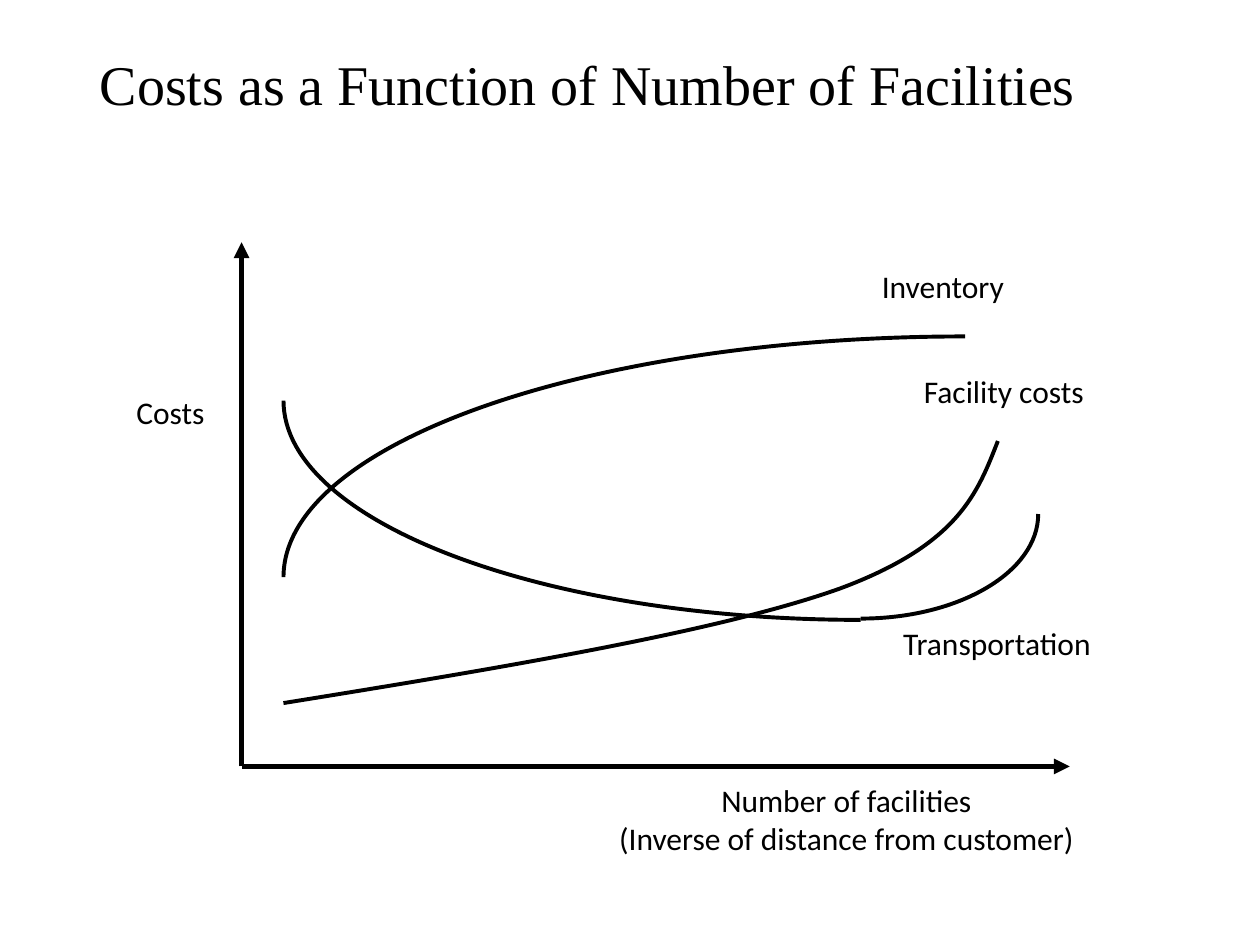
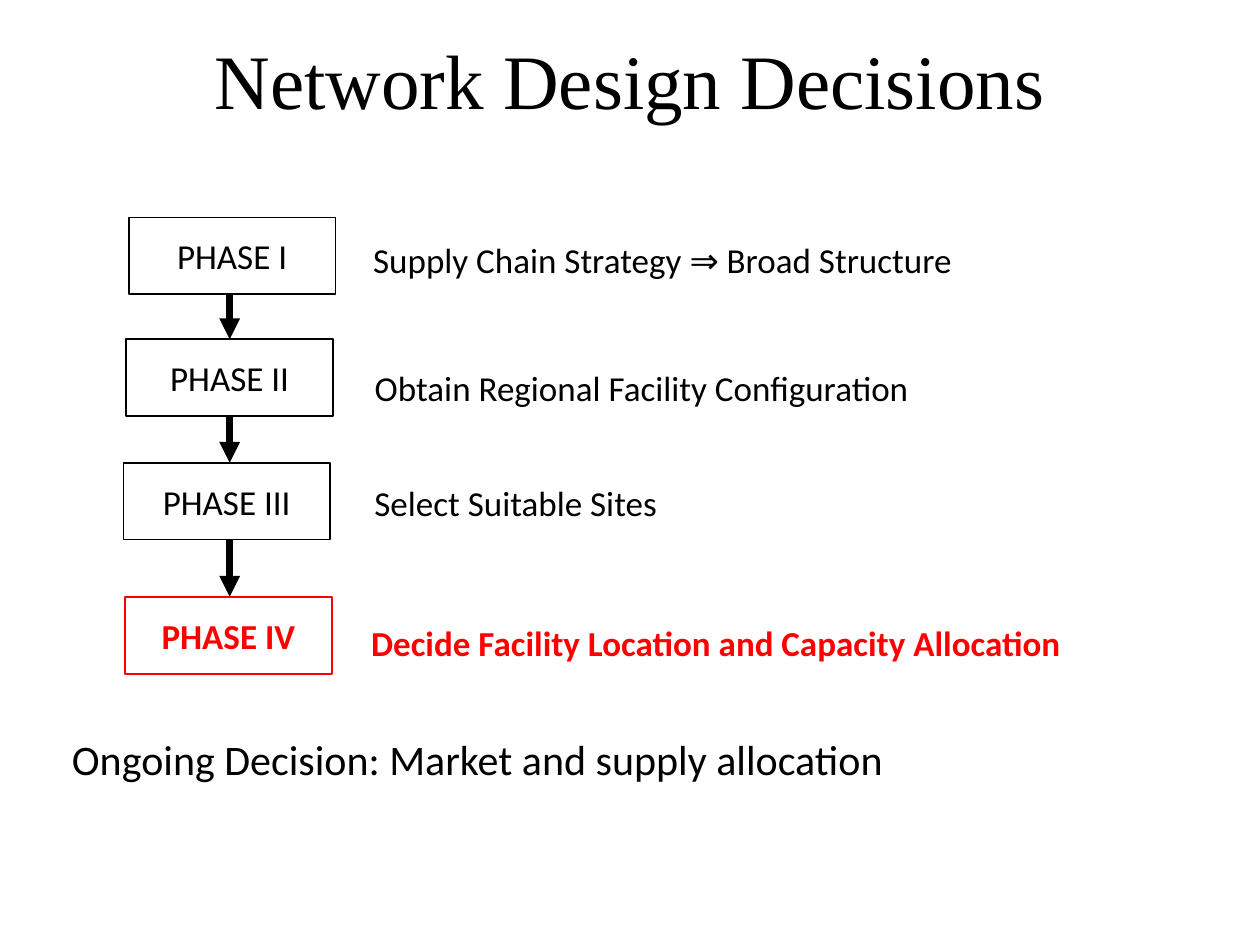
from dataclasses import dataclass

from lxml import etree
from pptx import Presentation
from pptx.dml.color import RGBColor
from pptx.enum.shapes import MSO_CONNECTOR, MSO_SHAPE
from pptx.enum.text import MSO_ANCHOR, MSO_AUTO_SIZE, PP_ALIGN
from pptx.oxml.ns import qn
from pptx.util import Inches, Pt

STRAIGHT = MSO_CONNECTOR.STRAIGHT
RECTANGLE = MSO_SHAPE.RECTANGLE
LEFT, CENTER = PP_ALIGN.LEFT, PP_ALIGN.CENTER
BOTTOM, MIDDLE, TOP = MSO_ANCHOR.BOTTOM, MSO_ANCHOR.MIDDLE, MSO_ANCHOR.TOP
FIT_SHAPE, NO_FIT = MSO_AUTO_SIZE.SHAPE_TO_FIT_TEXT, MSO_AUTO_SIZE.NONE

# Shared look
COLORS = {"ink": "000000", "accent": "FF0000", "paper": "FFFFFF"}
TITLE_FONT, BODY_FONT = "Times New Roman", "Calibri"
TITLE_ONLY_LAYOUT = 5

# Square grid of 100 columns by 75 rows
SLIDE_WIDTH, SLIDE_HEIGHT = Inches(10), Inches(7.5)
COLUMNS, ROWS = 100, 75

Point = tuple[float, float]


@dataclass(frozen=True)
class Area:
    column: float
    row: float
    columns: float
    rows: float


@dataclass(frozen=True)
class Label:
    lines: tuple[str, ...]
    area: Area
    size: int
    align: PP_ALIGN = LEFT
    color: str = "ink"
    bold: bool = False


@dataclass(frozen=True)
class Curve:
    """A start point followed by three Bezier points for each segment."""
    start: Point
    segments: tuple[tuple[Point, Point, Point], ...]


@dataclass(frozen=True)
class Phase:
    name: str
    box: Point
    decision: str
    decision_area: Area
    color: str = "ink"
    bold: bool = False


def across(columns: float) -> int:
    return round(SLIDE_WIDTH * columns / COLUMNS)


def down(rows: float) -> int:
    return round(SLIDE_HEIGHT * rows / ROWS)


def bounds(area: Area) -> tuple[int, int, int, int]:
    return (across(area.column), down(area.row),
            across(area.columns), down(area.rows))


def rgb(color: str) -> RGBColor:
    return RGBColor.from_string(COLORS[color])


def set_attributes(target, values: dict) -> None:
    for name, value in values.items():
        setattr(target, name, value)


def write_text(shape, lines: tuple[str, ...], frame_format: dict, font_format: dict,
               align: PP_ALIGN, color: str) -> None:
    frame = shape.text_frame
    set_attributes(frame, frame_format)
    frame.text = "\n".join(lines)
    for paragraph in frame.paragraphs:
        paragraph.alignment = align
        set_attributes(paragraph.font, font_format)
        paragraph.font.color.rgb = rgb(color)


def set_line(shape, color: str, width: float) -> None:
    shape.line.color.rgb = rgb(color)
    shape.line.width = Pt(width)


def add_titled_slide(presentation, title: str, area: Area, size: int):
    slide = presentation.slides.add_slide(presentation.slide_layouts[TITLE_ONLY_LAYOUT])
    placeholder = slide.shapes.title
    box = dict(zip(("left", "top", "width", "height"), bounds(area)))
    set_attributes(placeholder, box)
    write_text(placeholder, (title,),
               {"vertical_anchor": BOTTOM, "word_wrap": True, "auto_size": NO_FIT},
               {"name": TITLE_FONT, "size": Pt(size)}, CENTER, "ink")
    return slide


def add_label(slide, label: Label) -> None:
    shape = slide.shapes.add_textbox(*bounds(label.area))
    write_text(shape, label.lines,
               {"vertical_anchor": TOP, "word_wrap": False, "auto_size": FIT_SHAPE},
               {"name": BODY_FONT, "size": Pt(label.size), "bold": label.bold},
               label.align, label.color)


def add_arrow(slide, start: Point, end: Point, width: float) -> None:
    arrow = slide.shapes.add_connector(
        STRAIGHT, across(start[0]), down(start[1]), across(end[0]), down(end[1]))
    set_line(arrow, "ink", width)
    etree.SubElement(arrow.line._get_or_add_ln(), qn("a:tailEnd"), type="triangle")
    etree.SubElement(arrow._element.spPr, qn("a:effectLst"))


def add_curve(slide, curve: Curve) -> None:
    builder = slide.shapes.build_freeform(across(curve.start[0]), down(curve.start[1]))
    builder.add_line_segments([(across(x), down(y)) for *_, (x, y) in curve.segments],
                              close=False)
    shape = builder.convert_to_shape()
    # Bend each straight segment into a Bezier segment
    straight_segments = list(shape._element.iter(qn("a:lnTo")))
    for straight, points in zip(straight_segments, curve.segments):
        bent = etree.Element(qn("a:cubicBezTo"))
        for x, y in points:
            etree.SubElement(bent, qn("a:pt"), x=str(across(x) - shape.left),
                             y=str(down(y) - shape.top))
        straight.getparent().replace(straight, bent)
    shape.shadow.inherit = False
    shape.fill.background()
    set_line(shape, "ink", 2.25)


def add_phase_box(slide, phase: Phase) -> None:
    area = Area(*phase.box, PHASE_WIDTH, PHASE_HEIGHT)
    shape = slide.shapes.add_shape(RECTANGLE, *bounds(area))
    shape.shadow.inherit = False
    shape.fill.background()
    set_line(shape, phase.color, 1)
    write_text(shape, (phase.name,), {"vertical_anchor": MIDDLE, "word_wrap": True},
               {"name": BODY_FONT, "size": Pt(20), "bold": phase.bold},
               CENTER, phase.color)


# Cost chart: axes, curves and labels
ORIGIN = (19.17, 60.83)
AXIS_ENDS = ((19.17, 19.23), (84.9, 60.83))
AXIS_LABELS = (
    Label(("Costs",), Area(9.83, 30.7, 7.5, 4), 18),
    Label(("Number of facilities", "(Inverse of distance from customer)"),
          Area(47.93, 61.5, 38.5, 7), 18, CENTER),
)
INVENTORY = Curve((22.5, 45.8), (((22.5, 35.2), (46.7, 26.7), (76.6, 26.7)),))
TRANSPORT_FALL = Curve((68.3, 49.2), (((43, 49.2), (22.5, 41.4), (22.5, 31.8)),))
TRANSPORT_RISE = Curve((82.4, 40.8), (((82.4, 45.4), (76.1, 49.1), (68.3, 49.1)),))
FACILITY_COSTS = Curve((22.5, 55.8), (((39.9, 53), (57.2, 50.1), (66.7, 46.7)),
                                      ((76.1, 43.2), (77.6, 39.1), (79.2, 35))))
COST_SERIES = (
    (Label(("Inventory",), Area(69, 20.7, 11.8, 4), 18), (INVENTORY,)),
    (Label(("Transportation",), Area(70.7, 49, 17, 4), 18),
     (TRANSPORT_FALL, TRANSPORT_RISE)),
    (Label(("Facility costs",), Area(72.33, 29, 14.8, 4), 18), (FACILITY_COSTS,)),
)

# Decision phases
PHASE_WIDTH, PHASE_HEIGHT = 16.4, 6.1
PHASE_ARROW_COLUMN = 18.23
PHASES = (
    Phase("PHASE I", (10.23, 17.25), "Supply Chain Strategy ⇒ Broad Structure",
          Area(28.63, 18.4, 48.8, 4.4)),
    Phase("PHASE II", (10.03, 26.93), "Obtain Regional Facility Configuration",
          Area(28.75, 28.6, 45.5, 4.4)),
    Phase("PHASE III", (9.8, 36.73), "Select Suitable Sites",
          Area(28.73, 37.75, 24.7, 4.4)),
    Phase("PHASE IV", (9.93, 47.37), "Decide Facility Location and Capacity Allocation",
          Area(28.47, 48.85, 57.2, 4.4), "accent", True),
)
ONGOING = Label(("Ongoing Decision: Market and supply allocation",),
                Area(4.73, 57.7, 67, 5), 24)


def build_cost_slide(presentation) -> None:
    slide = add_titled_slide(presentation, "Costs as a Function of Number of Facilities",
                             Area(4.17, 1.25, 85, 8.5), 32)
    for end in AXIS_ENDS:
        add_arrow(slide, ORIGIN, end, 3)
    for label in AXIS_LABELS:
        add_label(slide, label)
    for label, curves in COST_SERIES:
        for curve in curves:
            add_curve(slide, curve)
        add_label(slide, label)


def build_phase_slide(presentation) -> None:
    slide = add_titled_slide(presentation, "Network Design Decisions",
                             Area(0, 0, COLUMNS, 10.4), 44)
    for phase in PHASES:
        add_phase_box(slide, phase)
        add_label(slide, Label((phase.decision,), phase.decision_area, 20,
                               color=phase.color, bold=phase.bold))
    # Each arrow runs from the foot of one box to the top of the next
    for upper, lower in zip(PHASES, PHASES[1:]):
        add_arrow(slide, (PHASE_ARROW_COLUMN, upper.box[1] + PHASE_HEIGHT),
                  (PHASE_ARROW_COLUMN, lower.box[1]), 4)
    add_label(slide, ONGOING)


def main() -> None:
    presentation = Presentation()
    presentation.slide_width, presentation.slide_height = SLIDE_WIDTH, SLIDE_HEIGHT
    background = presentation.slide_master.background.fill
    background.solid()
    background.fore_color.rgb = rgb("paper")
    build_cost_slide(presentation)
    build_phase_slide(presentation)
    presentation.save("out.pptx")


if __name__ == "__main__":
    main()
